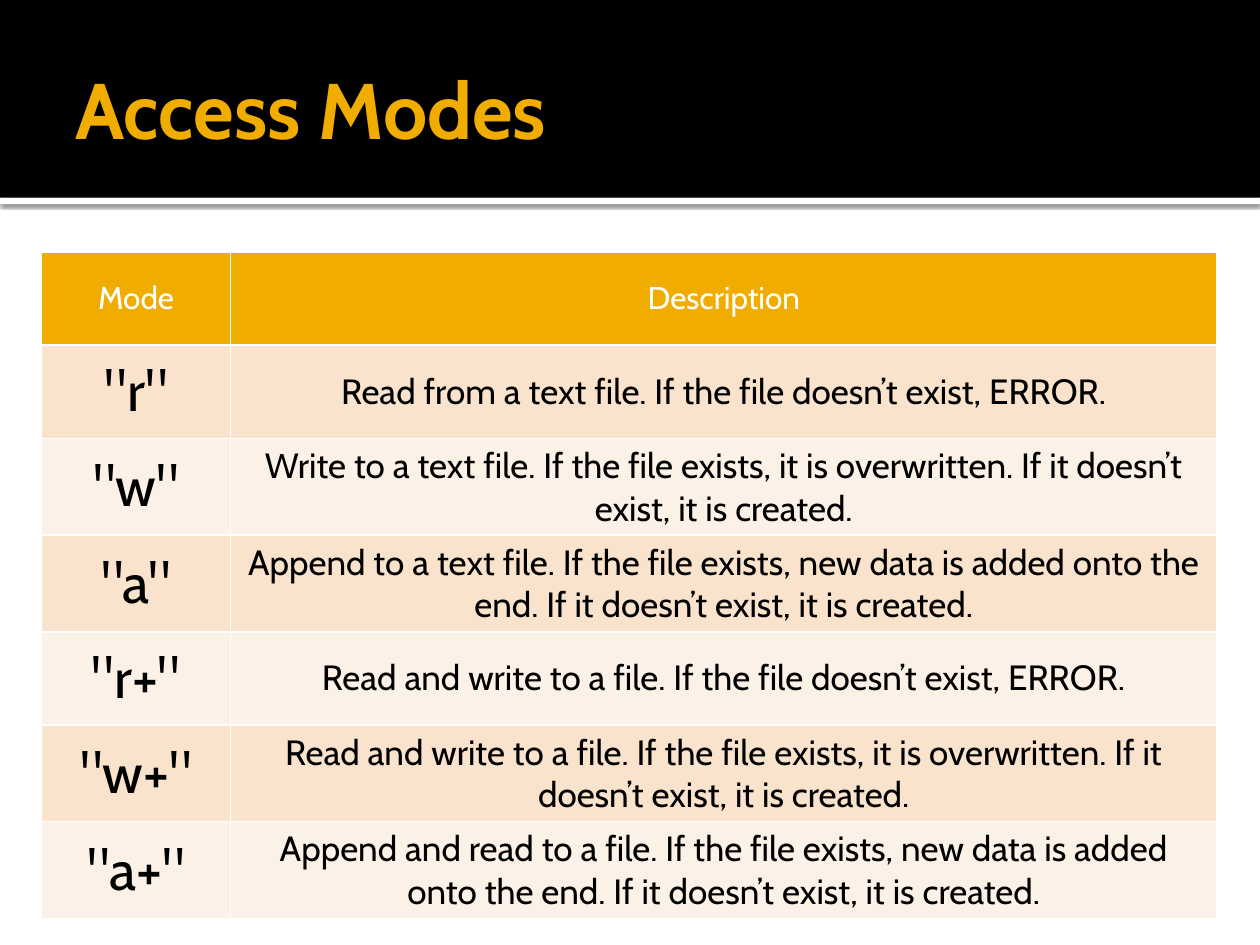
"""Build a slide with a table of file access modes."""
from lxml.etree import SubElement as Sub
from pptx import Presentation
from pptx.dml.color import RGBColor as RGB
from pptx.enum.shapes import MSO_SHAPE as Shape
from pptx.enum.text import MSO_ANCHOR as Anchor, PP_ALIGN as Align
from pptx.oxml import parse_xml
from pptx.oxml.ns import nsdecls, qn
from pptx.util import Inches, Pt

TITLE = "Access Modes"
ROWS = [
    ("Mode", "Description"),
    ('"r"', "Read from a text file. If the file doesn’t exist, ERROR."),
    ('"w"', "Write to a text file. If the file exists, it is overwritten. "
            "If it doesn’t exist, it is created."),
    ('"a"', "Append to a text file. If the file exists, new data is added "
            "onto the end. If it doesn’t exist, it is created."),
    ('"r+"', "Read and write to a file. If the file doesn’t exist, ERROR."),
    ('"w+"', "Read and write to a file. If the file exists, it is overwritten. "
             "If it doesn’t exist, it is created."),
    ('"a+"', "Append and read to a file. If the file exists, new data is added "
             "onto the end. If it doesn’t exist, it is created."),
]
GOLD, WHITE, BLACK = "F0AD00", "FFFFFF", "000000"
BANDS = ("FCF1E7", "F9E3CC")
WIDTHS = (1.5, 7.83)
HEIGHT = 0.74
HEAD = {"size": Pt(18), "name": "Cabin", "bold": False}
BODY = [{**HEAD, "size": Pt(size)} for size in (32, 20)]
BANNER = {"size": Pt(45), "name": "Cabin", "bold": True}
FRAME = {"word_wrap": True, "vertical_anchor": Anchor.MIDDLE,
         "margin_left": Inches(0.1), "margin_right": Inches(0.05),
         "margin_top": Inches(0.05), "margin_bottom": Inches(0.05)}
SHADOW = (f'<a:outerShdw {nsdecls("a")} blurRad="{Pt(2.5)}" dist="{Pt(0.8)}" '
          'dir="5400000" algn="t" rotWithShape="0"><a:srgbClr val="000000">'
          '<a:alpha val="60000"/></a:srgbClr></a:outerShdw>')


def paint(fill, color):
    fill.solid()
    fill.fore_color.rgb = RGB.from_string(color)


def apply(item, style):
    for key, value in style.items():
        setattr(item, key, value)


def write(para, text, style, color):
    run = para.add_run()
    run.text = text
    apply(run.font, style)
    run.font.color.rgb = RGB.from_string(color)


def add_bar(slide, top, height, color):
    bar = slide.shapes.add_shape(
        Shape.RECTANGLE, 0, Inches(top), Inches(10), Inches(height))
    bar.shadow.inherit = False
    paint(bar.fill, color)
    bar.line.fill.background()
    return bar


def add_edges(cell):
    props = cell._tc.get_or_add_tcPr()
    for side in ("lnL", "lnR", "lnT", "lnB"):
        line = Sub(props, qn(f"a:{side}"), w=str(Pt(1)))
        Sub(Sub(line, qn("a:solidFill")), qn("a:srgbClr"), val=WHITE)


def add_modes(slide):
    count = len(ROWS)
    table = slide.shapes.add_table(
        count, len(WIDTHS), Inches(0.33), Inches(2),
        Inches(sum(WIDTHS)), Inches(HEIGHT * count)).table
    for col, width in zip(table.columns, WIDTHS):
        col.width = Inches(width)
    for i, row in enumerate(ROWS):
        table.rows[i].height = Inches(HEIGHT)
        for j, text in enumerate(row):
            cell = table.cell(i, j)
            cell.vertical_anchor = Anchor.MIDDLE
            add_edges(cell)
            paint(cell.fill, BANDS[i % 2] if i else GOLD)
            para = cell.text_frame.paragraphs[0]
            para.alignment = Align.CENTER
            write(para, text, BODY[j] if i else HEAD, BLACK if i else WHITE)


def main():
    deck = Presentation()
    deck.slide_width, deck.slide_height = Inches(10), Inches(7.5)
    slide = deck.slides.add_slide(deck.slide_layouts[6])
    paint(slide.background.fill, WHITE)
    strip = add_bar(slide, 1.57, 0.05, WHITE)
    strip._element.spPr.find(qn("a:effectLst")).append(parse_xml(SHADOW))
    add_bar(slide, 0, 1.57, BLACK)
    box = slide.shapes.add_textbox(
        Inches(0.5), Inches(0.17), Inches(9), Inches(1.37))
    apply(box.text_frame, FRAME)
    write(box.text_frame.paragraphs[0], TITLE, BANNER, GOLD)
    add_modes(slide)
    deck.save("out.pptx")


if __name__ == "__main__":
    main()
